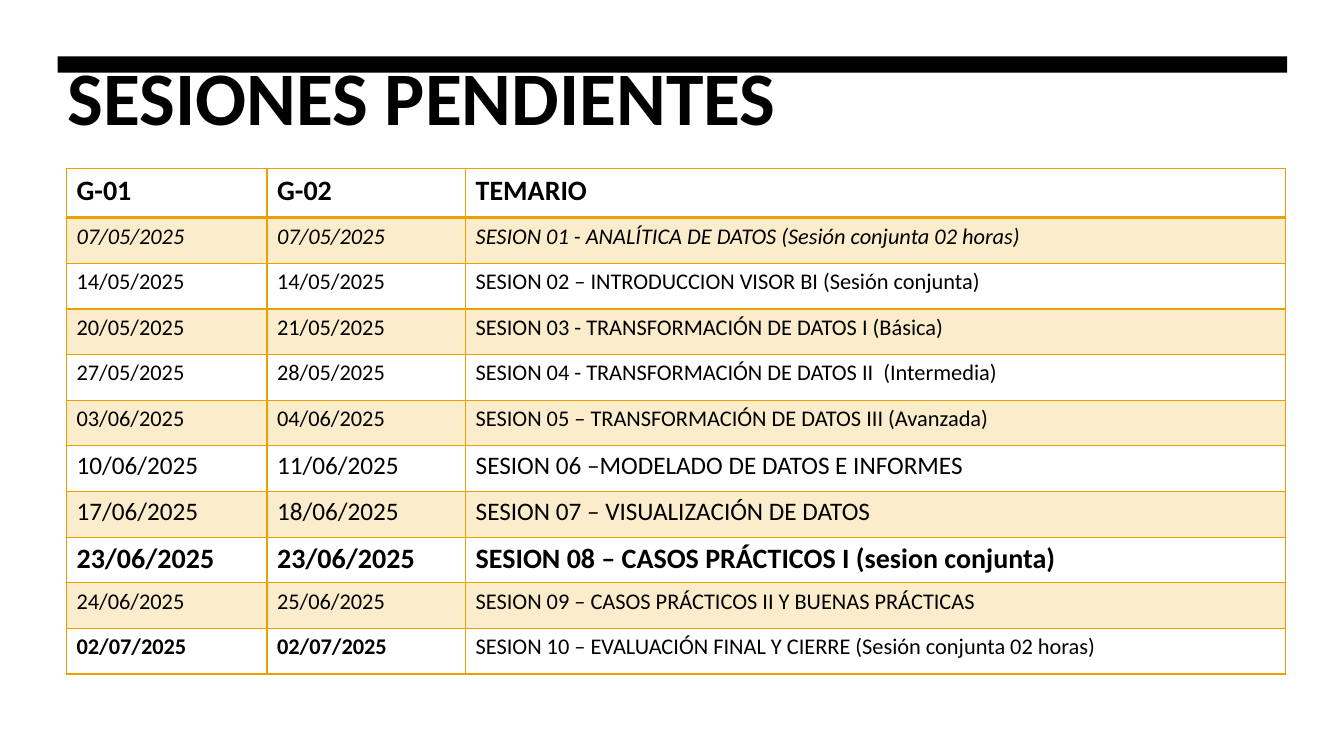
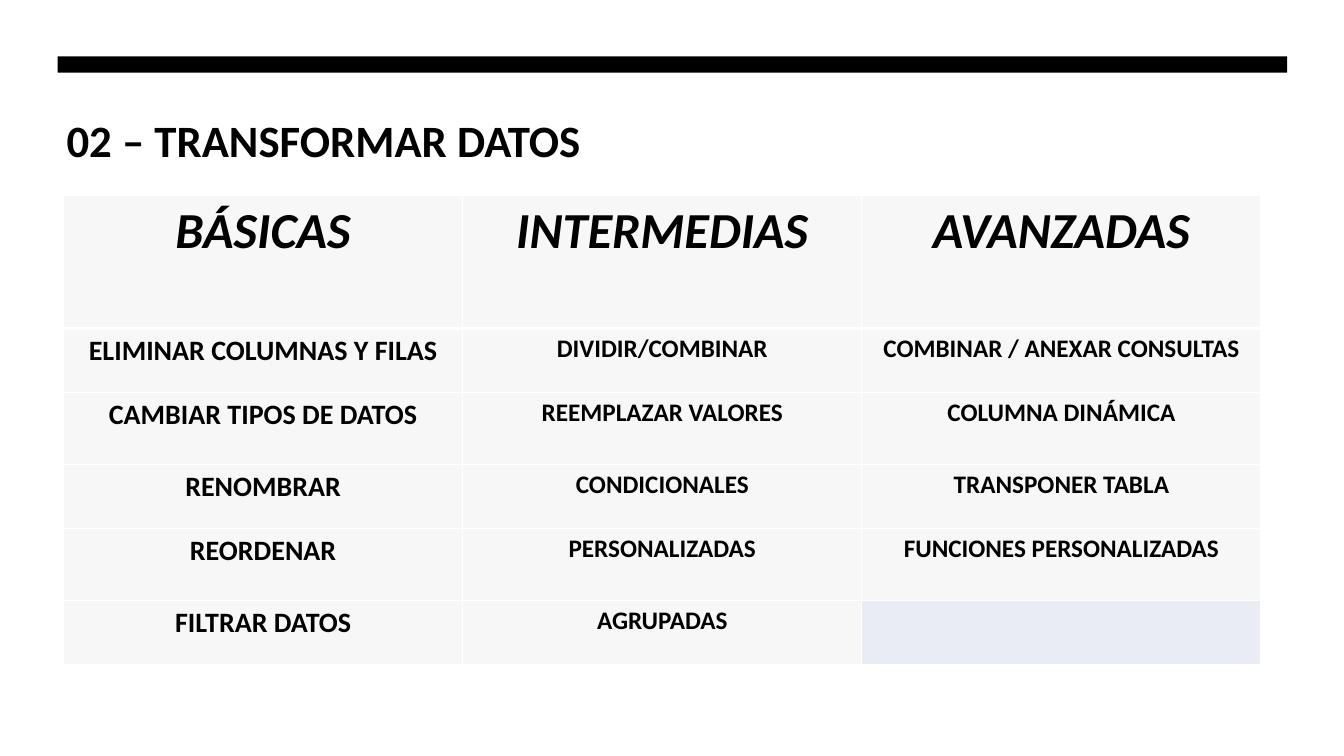
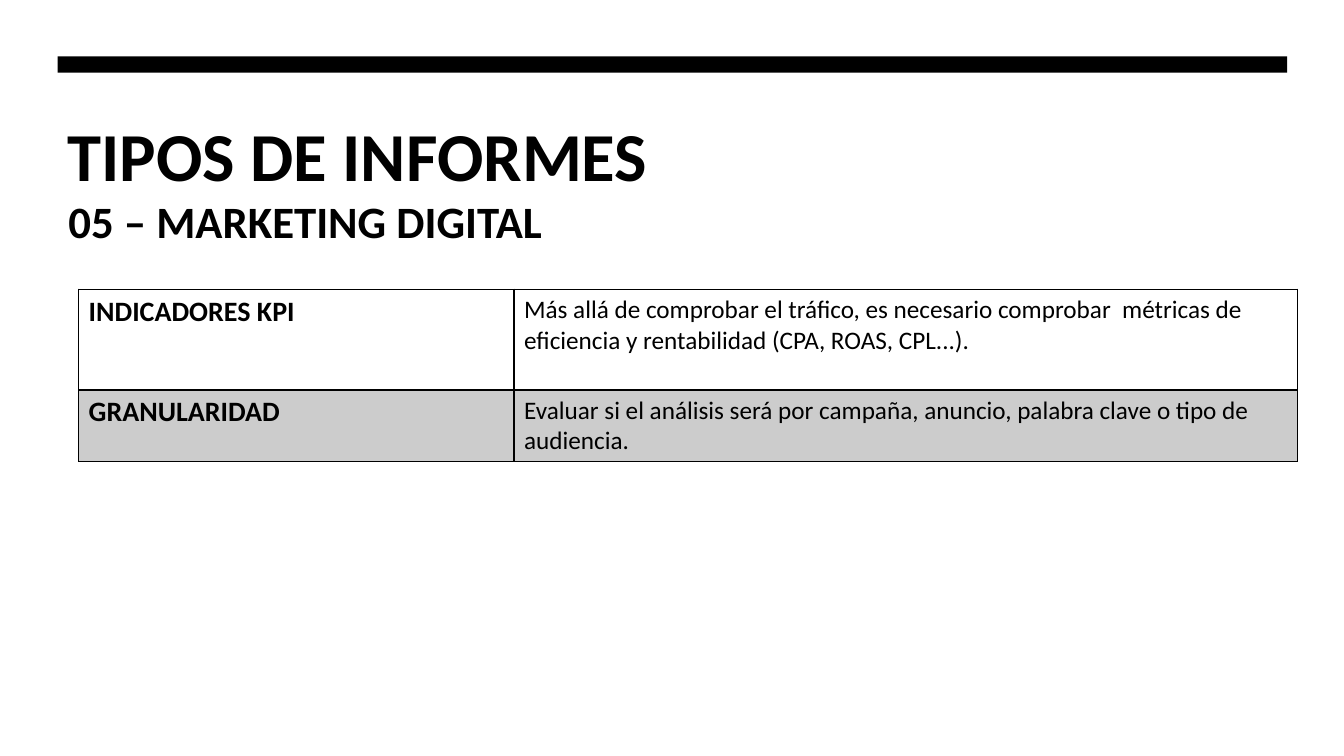
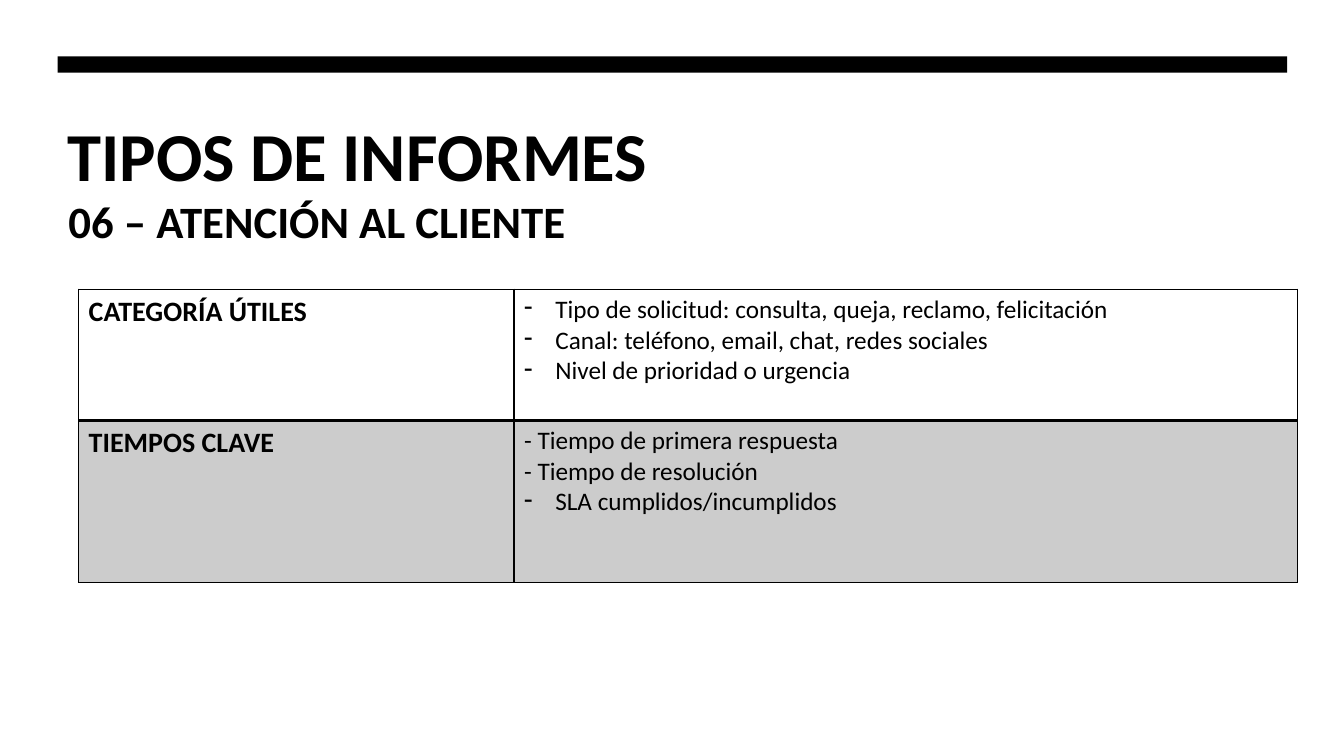
from dataclasses import dataclass

from lxml import etree
from pptx import Presentation
from pptx.dml.color import RGBColor
from pptx.enum.shapes import MSO_SHAPE
from pptx.enum.text import MSO_ANCHOR, MSO_AUTO_SIZE, PP_ALIGN
from pptx.oxml.ns import qn
from pptx.util import Inches, Pt

RECT = MSO_SHAPE.RECTANGLE
TOP = MSO_ANCHOR.TOP
FIXED = MSO_AUTO_SIZE.NONE
LEFT, MID = PP_ALIGN.LEFT, PP_ALIGN.CENTER

# Shared theme
WIDE, HIGH = Inches(13.333), Inches(7.5)
FONT = "Calibri"
HUES = {"ink": "000000", "gold": "EBA000", "paper": "FFFFFF", "mist": "F7F7F7"}
SIDES = ("L", "R", "T", "B")
INDENT = Inches(0.31)


@dataclass(frozen=True)
class Box:
    """Place and size, in percent of the slide."""
    x: float
    y: float
    w: float
    h: float


@dataclass(frozen=True)
class Look:
    size: int
    bold: bool = False
    slant: bool = False


@dataclass(frozen=True)
class Line:
    text: str
    look: Look
    dash: bool = False


@dataclass(frozen=True)
class Tint:
    hue: str
    alpha: int = 100


@dataclass(frozen=True)
class Row:
    """One table row: height in percent, a list of lines per cell."""
    high: float
    cells: list[list[Line]]
    tint: Tint | None = None
    base: float = 1


@dataclass(frozen=True)
class Grid:
    x: float
    y: float
    cols: list[float]
    rows: list[Row]
    edge: str
    align: PP_ALIGN = LEFT


BAR = Box(4.28, 7.47, 91.5, 2.13)
HEAD = Box(4.28, 14.27, 91.5, 10.93)
SUB = Box(4.35, 24.93, 91.5, 8)
PLAIN, MEDIUM = Look(16), Look(18)
LABEL, STRONG = Look(20, True), Look(18, True)


def across(share: float) -> int:
    return round(WIDE * share / 100)


def down(share: float) -> int:
    return round(HIGH * share / 100)


def spans(box: Box) -> tuple[int, int, int, int]:
    return across(box.x), down(box.y), across(box.w), down(box.h)


def color(hue: str) -> RGBColor:
    return RGBColor.from_string(HUES[hue])


# Text
def write(frame, lines: list[Line], align: PP_ALIGN = LEFT) -> None:
    for i, line in enumerate(lines):
        para = frame.paragraphs[0] if i == 0 else frame.add_paragraph()
        para.alignment = align
        if line.dash:
            props = para._p.get_or_add_pPr()
            props.set("marL", str(INDENT))
            props.set("indent", str(-INDENT))
            etree.SubElement(props, qn("a:buChar"), char="-")
        run = para.add_run()
        run.text = line.text
        font = run.font
        font.name, font.size = FONT, Pt(line.look.size)
        font.bold, font.italic = line.look.bold, line.look.slant
        font.color.rgb = color("ink")


def fit(frame) -> None:
    frame.word_wrap = True
    frame.auto_size = FIXED
    frame.vertical_anchor = TOP


def add_page(deck, text: str, size: int, box: Box = HEAD, tight: float = 1):
    page = deck.slides.add_slide(deck.slide_layouts[5])
    title = page.shapes.title
    title.left, title.top, title.width, title.height = spans(box)
    fit(title.text_frame)
    write(title.text_frame, [Line(text, Look(size, True))])
    title.text_frame.paragraphs[0].line_spacing = tight
    return page


def add_sub(page, text: str) -> None:
    frame = page.shapes.add_textbox(*spans(SUB)).text_frame
    fit(frame)
    write(frame, [Line(text, Look(32, True))])


# Tables
def paint(cell, tint: Tint | None) -> None:
    if tint is None:
        cell.fill.background()
        return
    cell.fill.solid()
    cell.fill.fore_color.rgb = color(tint.hue)
    if tint.alpha < 100:
        tone = cell._tc.tcPr.find(qn("a:solidFill"))[0]
        etree.SubElement(tone, qn("a:alpha"), val=str(tint.alpha * 1000))


def border(cell, hue: str, top: float, base: float) -> None:
    props = cell._tc.get_or_add_tcPr()
    for side in SIDES:
        wide = {"T": top, "B": base}.get(side, 1)
        edge = etree.SubElement(props, qn(f"a:ln{side}"), w=str(Pt(wide)))
        fill = etree.SubElement(edge, qn("a:solidFill"))
        etree.SubElement(fill, qn("a:srgbClr"), val=HUES[hue])


def add_grid(page, grid: Grid) -> None:
    box = Box(grid.x, grid.y, sum(grid.cols), sum(r.high for r in grid.rows))
    table = page.shapes.add_table(len(grid.rows), len(grid.cols), *spans(box)).table
    table.first_row = table.horz_banding = False
    for col, wide in zip(table.columns, grid.cols):
        col.width = across(wide)
    top = 1
    for i, row in enumerate(grid.rows):
        table.rows[i].height = down(row.high)
        for j, lines in enumerate(row.cells):
            cell = table.cell(i, j)
            border(cell, grid.edge, top, row.base)
            paint(cell, row.tint)
            write(cell.text_frame, lines, grid.align)
        top = row.base


# Slide 1: pending sessions
DAYS = [
    ("07/05/2025", "07/05/2025", "SESION 01 - ANALÍTICA DE DATOS (Sesión conjunta 02 horas)"),
    ("14/05/2025", "14/05/2025", "SESION 02 – INTRODUCCION VISOR BI (Sesión conjunta)"),
    ("20/05/2025", "21/05/2025", "SESION 03 - TRANSFORMACIÓN DE DATOS I (Básica)"),
    ("27/05/2025", "28/05/2025", "SESION 04 - TRANSFORMACIÓN DE DATOS II  (Intermedia)"),
    ("03/06/2025", "04/06/2025", "SESION 05 – TRANSFORMACIÓN DE DATOS III (Avanzada)"),
    ("10/06/2025", "11/06/2025", "SESION 06 –MODELADO DE DATOS E INFORMES"),
    ("17/06/2025", "18/06/2025", "SESION 07 – VISUALIZACIÓN DE DATOS"),
    ("23/06/2025", "23/06/2025", "SESION 08 – CASOS PRÁCTICOS I (sesion conjunta)"),
    ("24/06/2025", "25/06/2025", "SESION 09 – CASOS PRÁCTICOS II Y BUENAS PRÁCTICAS"),
    ("02/07/2025", "02/07/2025", "SESION 10 – EVALUACIÓN FINAL Y CIERRE (Sesión conjunta 02 horas)"),
]
# Date look and topic look of the sessions that stand out
MARKS = {
    0: (Look(16, slant=True),) * 2,
    5: (MEDIUM,) * 2,
    6: (MEDIUM,) * 2,
    7: (LABEL,) * 2,
    9: (Look(16, True), PLAIN),
}


def add_plan(deck):
    page = add_page(deck, "SESIONES PENDIENTES", 54, Box(4.28, 7.33, 91.5, 12.93), 0.9)
    heads = [[Line(t, LABEL)] for t in ("G-01", "G-02", "TEMARIO")]
    rows = [Row(6.53, heads, base=2)]
    for i, (one, two, topic) in enumerate(DAYS):
        date, text = MARKS.get(i, (PLAIN, PLAIN))
        cells = [[Line(one, date)], [Line(two, date)], [Line(topic, text)]]
        rows.append(Row(6.04, cells, None if i % 2 else Tint("gold", 20)))
    add_grid(page, Grid(4.95, 22.27, [14.92, 14.78, 60.98], rows, "gold"))
    return page


# Slide 2: data transformations
STEPS = [
    ("ELIMINAR COLUMNAS Y FILAS", "DIVIDIR/COMBINAR", "COMBINAR / ANEXAR CONSULTAS"),
    ("CAMBIAR TIPOS DE DATOS", "REEMPLAZAR VALORES", "COLUMNA DINÁMICA"),
    ("RENOMBRAR", "CONDICIONALES", "TRANSPONER TABLA"),
    ("REORDENAR", "PERSONALIZADAS", "FUNCIONES PERSONALIZADAS"),
    ("FILTRAR DATOS", "AGRUPADAS"),
]


def add_steps(deck) -> None:
    page = add_page(deck, "02 – TRANSFORMAR DATOS", 32, Box(4.2, 14.27, 77.5, 11.6))
    mist = Tint("mist")
    names = ("BÁSICAS", "INTERMEDIAS", "AVANZADAS")
    heads = [[Line(n, Look(36, True, True))] for n in names]
    rows = [Row(17.6, heads, mist, 3)]
    for i, step in enumerate(STEPS):
        cells = [[Line(t, STRONG if j else LABEL)] for j, t in enumerate(step)]
        rows.append(Row(9.52 if i % 2 else 8.47, cells, mist))
    add_grid(page, Grid(4.73, 25.87, [29.7] * 3, rows, "paper", MID))


# Slides 3 and 4: report types
@dataclass(frozen=True)
class Topic:
    name: str
    high: float
    lines: list[Line]


REPORTS = {
    "05 – MARKETING DIGITAL": [
        Topic("INDICADORES KPI", 13.33, [Line(
            "Más allá de comprobar el tráfico, es necesario comprobar  métricas de "
            "eficiencia y rentabilidad (CPA, ROAS, CPL...).", MEDIUM)]),
        Topic("GRANULARIDAD", 9.4, [Line(
            "Evaluar si el análisis será por campaña, anuncio, palabra clave o tipo de "
            "audiencia.", MEDIUM)]),
    ],
    "06 – ATENCIÓN AL CLIENTE": [
        Topic("CATEGORÍA ÚTILES", 17.33, [
            Line("Tipo de solicitud: consulta, queja, reclamo, felicitación", MEDIUM, True),
            Line("Canal: teléfono, email, chat, redes sociales", MEDIUM, True),
            Line("Nivel de prioridad o urgencia", MEDIUM, True)]),
        Topic("TIEMPOS CLAVE", 21.47, [
            Line("- Tiempo de primera respuesta", MEDIUM),
            Line("- Tiempo de resolución", MEDIUM),
            Line("SLA cumplidos/incumplidos", MEDIUM, True)]),
    ],
}


def add_report(deck, name: str, topics: list[Topic]) -> None:
    page = add_page(deck, "TIPOS DE INFORMES", 49)
    add_sub(page, name)
    first, last = ([[Line(t.name, LABEL)], t.lines] for t in topics)
    rows = [Row(topics[0].high, first, base=2),
            Row(topics[1].high, last, Tint("ink", 20))]
    add_grid(page, Grid(5.85, 38.27, [32.4, 58.28], rows, "ink"))


def add_bar(page) -> None:
    """Draw the top band and hand it to the layout all slides share."""
    bar = page.shapes.add_shape(RECT, *spans(BAR))
    bar.shadow.inherit = False
    bar.fill.solid()
    bar.fill.fore_color.rgb = color("ink")
    bar.line.fill.background()
    page.slide_layout.shapes.element.append(bar.element)


def main() -> None:
    deck = Presentation()
    deck.slide_width, deck.slide_height = WIDE, HIGH
    add_bar(add_plan(deck))
    add_steps(deck)
    for name, topics in REPORTS.items():
        add_report(deck, name, topics)
    deck.save("out.pptx")


if __name__ == "__main__":
    main()
